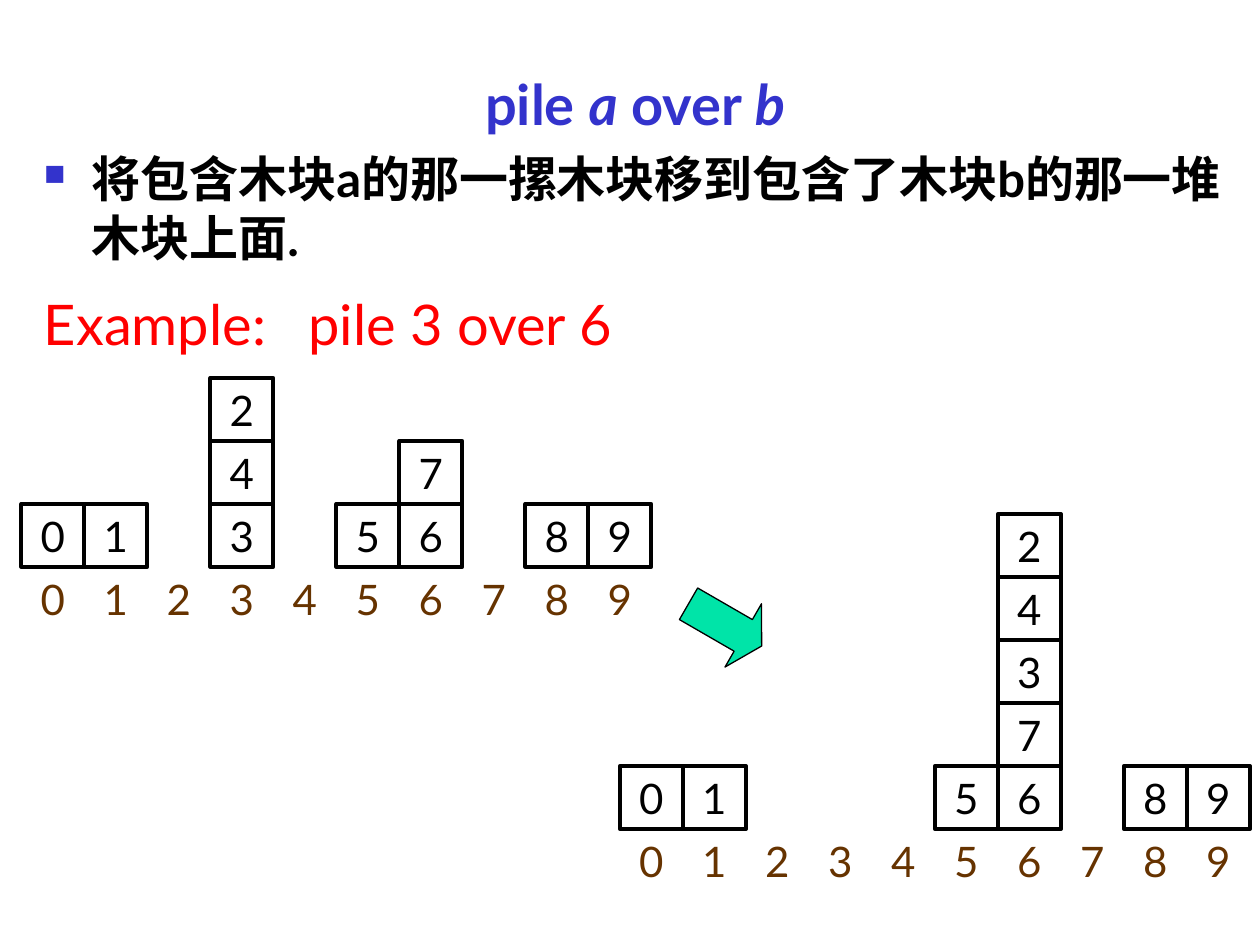
from dataclasses import dataclass

from lxml import etree
from pptx import Presentation
from pptx.dml.color import RGBColor
from pptx.enum.shapes import MSO_SHAPE
from pptx.enum.text import MSO_ANCHOR, PP_ALIGN
from pptx.oxml.ns import qn
from pptx.util import Inches, Pt

RECTANGLE, RIGHT_ARROW = MSO_SHAPE.RECTANGLE, MSO_SHAPE.RIGHT_ARROW
CENTER, LEFT = PP_ALIGN.CENTER, PP_ALIGN.LEFT
MIDDLE = MSO_ANCHOR.MIDDLE

COLUMNS, ROWS = 20, 15
CELL = Inches(0.5)  # one block is one grid cell

BEFORE = {0: "0", 1: "1", 3: "342", 5: "5", 6: "67", 8: "8", 9: "9"}
AFTER = {0: "0", 1: "1", 5: "5", 6: "67342", 8: "8", 9: "9"}


@dataclass(frozen=True)
class Theme:
    font: str = "Lato"
    title: str = "3333CC"
    ink: str = "000000"
    example: str = "FF0000"
    label: str = "663300"
    arrow: str = "00E4A8"
    heading_size: int = 32
    body_size: int = 28
    block_size: int = 24
    block_line: float = 2.25
    arrow_line: float = 0.75


class Page:
    """Draws on one slide; lengths are grid columns and rows."""

    def __init__(self, slide, theme):
        self.slide = slide
        self.theme = theme

    def area(self, column, row, width, height):
        return [round(CELL * part) for part in (column, row, width, height)]

    def set_font(self, para, size, color, bold=False):
        para.font.name = self.theme.font
        para.font.size = Pt(size)
        para.font.bold = bold
        para.font.color.rgb = RGBColor.from_string(color)

    def text_box(self, *area):
        box = self.slide.shapes.add_textbox(*self.area(*area))
        box.text_frame.word_wrap = True
        return box.text_frame

    def title(self, para, spans):
        """Centred heading from (text, italic) pairs."""
        para.alignment = CENTER
        for text, italic in spans:
            span = para.add_run()
            span.text = text
            span.font.italic = italic
        self.set_font(para, self.theme.heading_size, self.theme.title, bold=True)

    def bullet(self, para, text):
        para.text = text
        para.space_before = Pt(7)
        props = para._p.get_or_add_pPr()
        props.set("marL", str(Inches(0.38)))
        props.set("indent", str(-Inches(0.38)))
        color = etree.SubElement(props, qn("a:buClr"))
        etree.SubElement(color, qn("a:srgbClr"), val=self.theme.title)
        etree.SubElement(props, qn("a:buSzPct"), val="60000")
        etree.SubElement(props, qn("a:buChar"), char="■")
        self.set_font(para, self.theme.body_size, self.theme.ink, bold=True)

    def example(self, para, label, command):
        """Label and command, set apart by a tab stop."""
        para.text = f"{label}\t{command}"
        para.alignment = LEFT
        tabs = etree.SubElement(para._p.get_or_add_pPr(), qn("a:tabLst"))
        etree.SubElement(tabs, qn("a:tab"), pos=str(Inches(2.1)), algn="l")
        self.set_font(para, self.theme.heading_size, self.theme.example)

    def digit(self, frame, text, color):
        frame.word_wrap = False
        frame.vertical_anchor = MIDDLE
        para = frame.paragraphs[0]
        para.text = text
        para.alignment = CENTER
        self.set_font(para, self.theme.block_size, color)

    def shape(self, kind, area, line_width):
        shape = self.slide.shapes.add_shape(kind, *self.area(*area))
        shape.shadow.inherit = False
        shape.fill.background()
        shape.line.color.rgb = RGBColor.from_string(self.theme.ink)
        shape.line.width = Pt(line_width)
        return shape

    def block(self, column, row, text):
        block = self.shape(RECTANGLE, (column, row, 1, 1), self.theme.block_line)
        self.digit(block.text_frame, text, self.theme.ink)

    def block_world(self, left, floor, stacks):
        """Stacks, listed bottom up by position, above a row of position labels."""
        for position, stack in stacks.items():
            for level, name in enumerate(stack):
                self.block(left + position, floor - level, name)
        for position in range(10):
            frame = self.text_box(left + position, floor + 1, 1, 1)
            self.digit(frame, str(position), self.theme.label)

    def arrow(self, area, angle):
        arrow = self.shape(RIGHT_ARROW, area, self.theme.arrow_line)
        arrow.adjustments[0] = 0.5
        arrow.adjustments[1] = 0.29
        arrow.rotation = angle
        arrow.fill.solid()
        arrow.fill.fore_color.rgb = RGBColor.from_string(self.theme.arrow)


def main():
    deck = Presentation()
    deck.slide_width, deck.slide_height = CELL * COLUMNS, CELL * ROWS
    page = Page(deck.slides.add_slide(deck.slide_layouts[6]), Theme())

    body = page.text_box(0.5, 1, 19.16, 3.84)
    page.title(body.paragraphs[0],
               [("pile ", False), ("a", True), (" over ", False), ("b", True)])
    page.bullet(body.add_paragraph(),
                "将包含木块a的那一摞木块移到包含了木块b的那一堆木块上面.")
    example = page.text_box(0.5, 4.5, 16, 1.5)
    page.example(example.paragraphs[0], "Example:", "pile 3 over 6")

    page.block_world(9.84, 12.16, AFTER)
    page.block_world(0.34, 8, BEFORE)
    page.arrow((10.84, 9.34, 1.34, 1.16), 30)
    deck.save("out.pptx")


if __name__ == "__main__":
    main()
